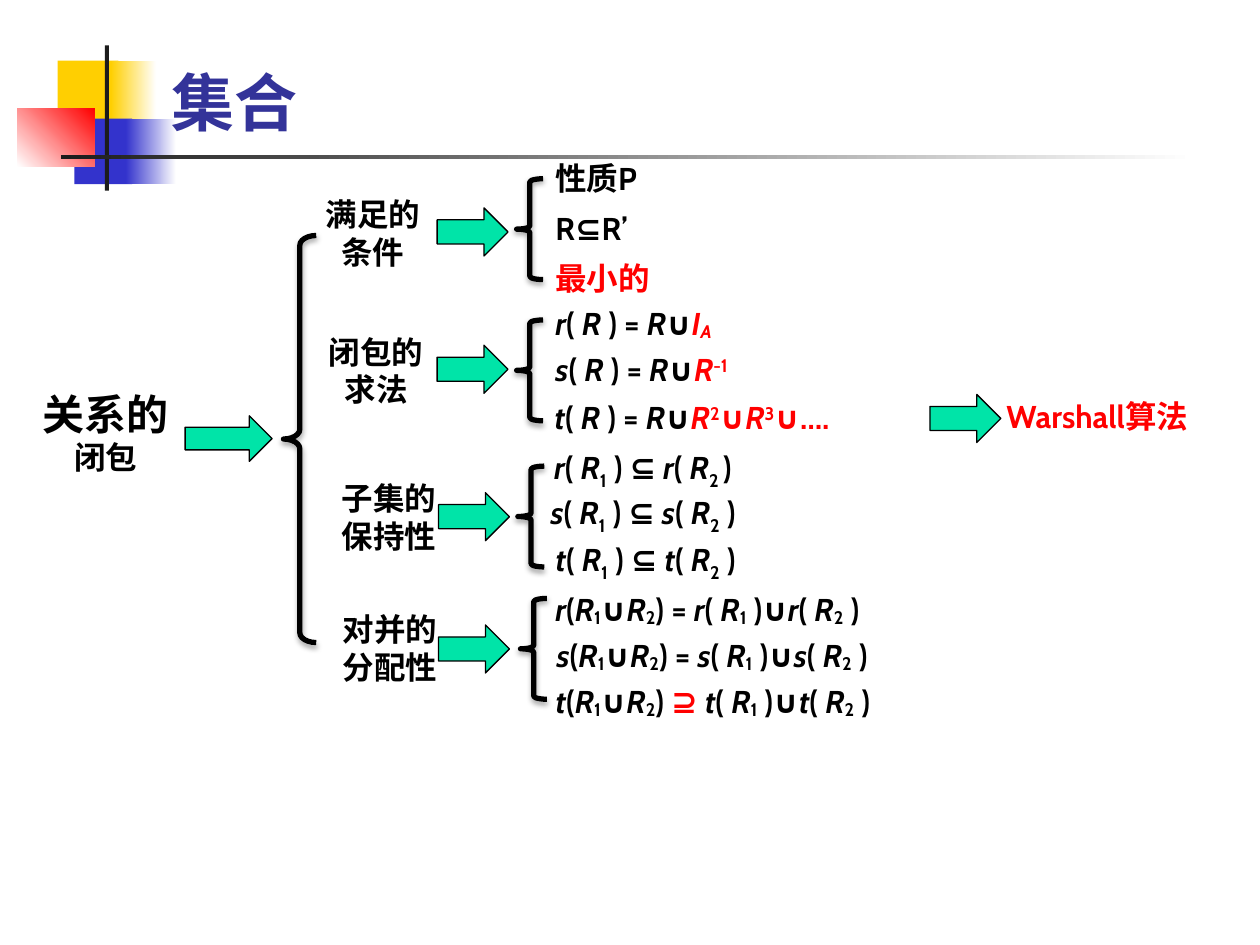
"""Build the slide on closures of relations."""
import dataclasses
import itertools
import typing

import lxml.etree
import pptx
import pptx.dml.color
import pptx.enum.shapes
import pptx.enum.text
import pptx.oxml.ns
import pptx.util

Pt = pptx.util.Pt
Kind = pptx.enum.shapes.MSO_SHAPE
Align = pptx.enum.text.PP_ALIGN


@dataclasses.dataclass(frozen=True)
class Theme:
    """Colours, fonts and type sizes."""
    black: str = "000000"
    red: str = "FF0000"
    green: str = "00E4A8"
    navy: str = "333399"
    blue: str = "3333CC"
    gold: str = "FFCF01"
    dark: str = "1C1C1C"
    white: str = "FFFFFF"
    face: str = "Cabin"
    serif: str = "Times New Roman"
    body: float = 18
    large: float = 24
    title: float = 36


class Box(typing.NamedTuple):
    """Left, top, width and height in points."""
    left: float
    top: float
    width: float
    height: float


class Block(typing.NamedTuple):
    """A filled bar, fading to a second colour if one is given."""
    box: Box
    fill: str
    fade: str = ""
    angle: float = 0


class Line(typing.NamedTuple):
    """One formula, with _ lowering, ^ raising and braces turning red."""
    left: float
    top: float
    width: float
    text: str
    wrap: bool = False


class Group(typing.NamedTuple):
    """A label, an arrow, a brace and the lines it gathers."""
    label: list[str]
    box: Box
    arrow: tuple[float, float]
    brace: tuple[float, float]
    lines: list[Line]
    low: int = 0


THEME = Theme()
ROW = 28.8
CELL = 51.1

BLOCKS = [
    Block(Box(33, 34.7, 34.6, 37.4), THEME.gold),
    Block(Box(63.4, 34.7, 25.9, 37.4), THEME.gold, THEME.white),
    Block(Box(42.5, 67.8, 33.1, 37.4), THEME.blue),
    Block(Box(72, 67.8, 28.8, 37.4), THEME.blue, THEME.white),
    Block(Box(10, 61.8, 44, 33.5), THEME.white, THEME.red, 45),
    Block(Box(59.9, 26, 2.3, 83), THEME.dark),
    Block(Box(34.8, 88.5, 648, 2.3), THEME.dark, THEME.white),
]

GROUPS = [
    Group(["满足的条件"], Box(175, 108, 76.3, CELL), (249.8, 118.8), (295.2, 102.2), [
        Line(302.4, 87.1, 76.3, "性质P", True),
        Line(310.3, 116, 63.4, "R⊆R’"),
        Line(310.3, 144.7, 68.4, "{最小的}")]),
    Group(["闭包的", "求法"], Box(180.7, 186.5, 68.4, CELL), (249.8, 197.3), (295.2, 182.9), [
        Line(310.3, 170, 135.4, "r( R ) = R∪{I_A}"),
        Line(310.3, 196.6, 145.4, "s( R ) = R∪{R^-^1}"),
        Line(309.8, 224, 218.9, "t( R ) = R∪{R^2∪R^3∪….}")], -10),
    Group(["子集的", "保持性"], Box(188, 270, 68.4, CELL), (250.6, 281.5), (295.9, 266.4), [
        Line(309.6, 252.7, 151.2, "r( R_1 ) ⊆ r( R_2_ )"),
        Line(307.5, 278, 157.7, "s( R_1 ) ⊆ s( R_2 )"),
        Line(310.3, 305.3, 152.6, "t( R_1 ) ⊆ t( R_2 )")], -25),
    Group(["对并的", "分配性"], Box(188.6, 345, 68.4, CELL), (250.6, 357.1), (297.4, 342), [
        Line(310.3, 333.4, 251.3, "r(R_1∪R_2) = r( R_1 )∪r( R_2 )"),
        Line(311, 360, 255.6, "s(R_1∪R_2) = s( R_1 )∪s( R_2 )"),
        Line(310.3, 386, 253.4, "t(R_1∪R_2) {⊇ }t( R_1 )∪t( R_2 )")], -10),
]


def tint(code: str) -> pptx.dml.color.RGBColor:
    """Turn a hex code into a colour."""
    return pptx.dml.color.RGBColor.from_string(code)


def add(slide, kind, box: Box):
    """Add a preset shape with no shadow."""
    shape = slide.shapes.add_shape(kind, *map(Pt, box))
    shape.shadow.inherit = False
    return shape


def block(slide, item: Block) -> None:
    """Draw a plain or fading bar."""
    shape = add(slide, Kind.RECTANGLE, item.box)
    shape.line.fill.background()
    if item.fade:
        shape.fill.gradient()
        shape.fill.gradient_angle = item.angle
        for stop, code in zip(shape.fill.gradient_stops, (item.fill, item.fade)):
            stop.color.rgb = tint(code)
    else:
        shape.fill.solid()
        shape.fill.fore_color.rgb = tint(item.fill)


def arrow(slide, left: float, top: float, width: float = 40.5, height: float = 27.5) -> None:
    """Draw a green block arrow."""
    shape = add(slide, Kind.RIGHT_ARROW, Box(left, top, width, height))
    shape.fill.solid()
    shape.fill.fore_color.rgb = tint(THEME.green)
    shape.line.color.rgb = tint(THEME.black)
    shape.line.width = Pt(0.75)


def brace(slide, box: Box, bend: float) -> None:
    """Draw a heavy left brace with a soft shadow."""
    shape = add(slide, Kind.LEFT_BRACE, box)
    shape.adjustments[0] = bend
    shape.fill.background()
    shape.line.color.rgb = tint(THEME.black)
    shape.line.width = Pt(3)
    name = pptx.oxml.ns.qn
    effect = shape._element.spPr.find(name("a:effectLst"))
    shade = lxml.etree.SubElement(effect, name("a:outerShdw"), blurRad=str(Pt(3.15)),
                                  dist=str(Pt(1.8)), dir="5400000", rotWithShape="0")
    color = lxml.etree.SubElement(shade, name("a:srgbClr"), val=THEME.black)
    lxml.etree.SubElement(color, name("a:alpha"), val="35000")


def styles(text: str, low: int) -> typing.Iterator[tuple[str, tuple[bool, int, bool]]]:
    """Yield each letter with its slant, shift and redness."""
    red, shift = False, 0
    for char in text:
        if char in "{}":
            red = char == "{"
        elif char in "_^":
            shift = low if char == "_" else 30
        else:
            yield char, (bool(low) and char in "rstRIA", shift, red)
            shift = 0


def write(slide, box: Box, rows: list[str], align=Align.LEFT, wrap: bool = False, low: int = 0,
          sizes: tuple[float, ...] = (THEME.body,), face: str = THEME.face,
          color: str = THEME.black):
    """Write rows of marked text and return the frame."""
    frame = slide.shapes.add_textbox(*map(Pt, box)).text_frame
    frame.word_wrap = wrap
    frame.auto_size = pptx.enum.text.MSO_AUTO_SIZE.SHAPE_TO_FIT_TEXT
    for at, (row, size) in enumerate(zip(rows, itertools.cycle(sizes))):
        para = frame.add_paragraph() if at else frame.paragraphs[0]
        para.alignment = align
        font = para.font
        font.name, font.size, font.bold = face, Pt(size), True
        font.color.rgb = tint(color)
        for (slant, shift, red), part in itertools.groupby(styles(row, low), lambda pair: pair[1]):
            run = para.add_run()
            run.text = "".join(char for char, _ in part)
            if slant:
                run.font.italic = True
            if red:
                run.font.color.rgb = tint(THEME.red)
            if shift:
                run._r.get_or_add_rPr().set("baseline", str(shift * 1000))
    return frame


def group(slide, item: Group) -> None:
    """Draw one branch of the tree."""
    write(slide, item.box, item.label, Align.CENTER, len(item.label) == 1)
    arrow(slide, *item.arrow)
    brace(slide, Box(*item.brace, 15.1, 57.6), 0.12)
    for line in item.lines:
        align = Align.CENTER if line.wrap else Align.LEFT
        write(slide, Box(line.left, line.top, line.width, ROW), [line.text], align, line.wrap, item.low)


def main() -> None:
    """Build and save the deck."""
    deck = pptx.Presentation()
    deck.slide_width, deck.slide_height = Pt(720), Pt(540)
    slide = deck.slides.add_slide(deck.slide_layouts[6])
    for item in BLOCKS:
        block(slide, item)
    title = write(slide, Box(90.7, 5.8, 613.4, 77), ["集合"], wrap=True, sizes=(THEME.title,),
                  face=THEME.serif, color=THEME.navy)
    title.auto_size = pptx.enum.text.MSO_AUTO_SIZE.NONE
    title.vertical_anchor = pptx.enum.text.MSO_ANCHOR.BOTTOM
    write(slide, Box(17.3, 218.2, 86.4, 58.3), ["关系的", "闭包"], Align.CENTER,
          sizes=(THEME.large, THEME.body))
    arrow(slide, 105.8, 237.6, 49.7, 26)
    brace(slide, Box(162, 134.6, 18.7, 232.6), 0.3)
    for item in GROUPS:
        group(slide, item)
    write(slide, Box(568, 223.2, 130.3, ROW), ["{Warshall算法}"], wrap=True)
    arrow(slide, 531.4, 225.4)
    deck.save("out.pptx")


if __name__ == "__main__":
    main()
